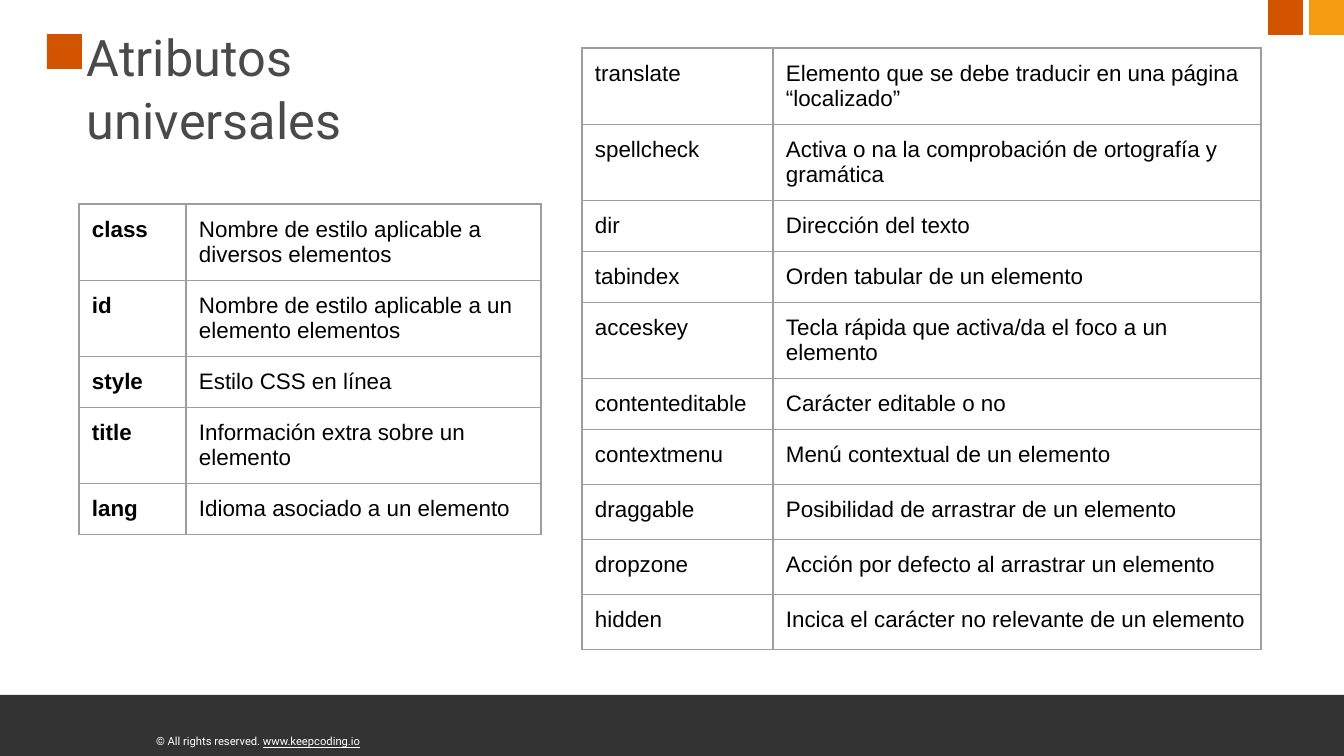
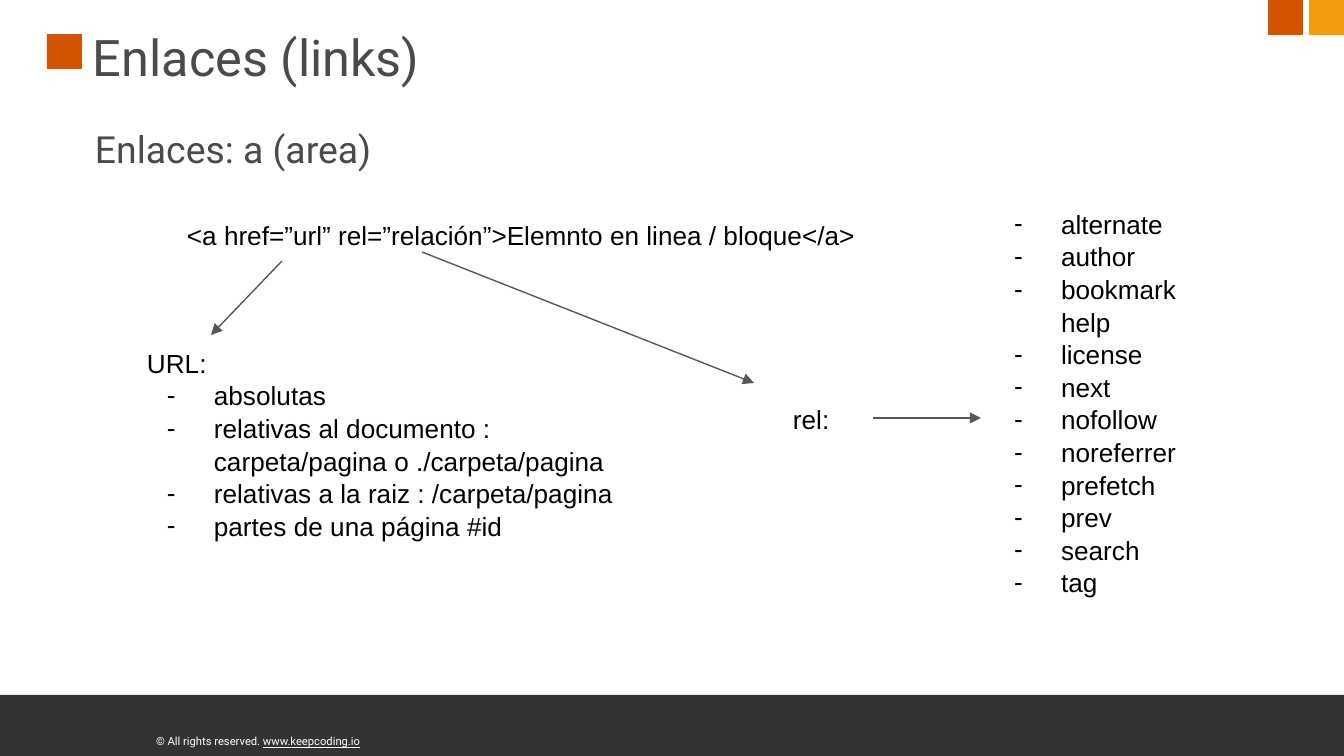
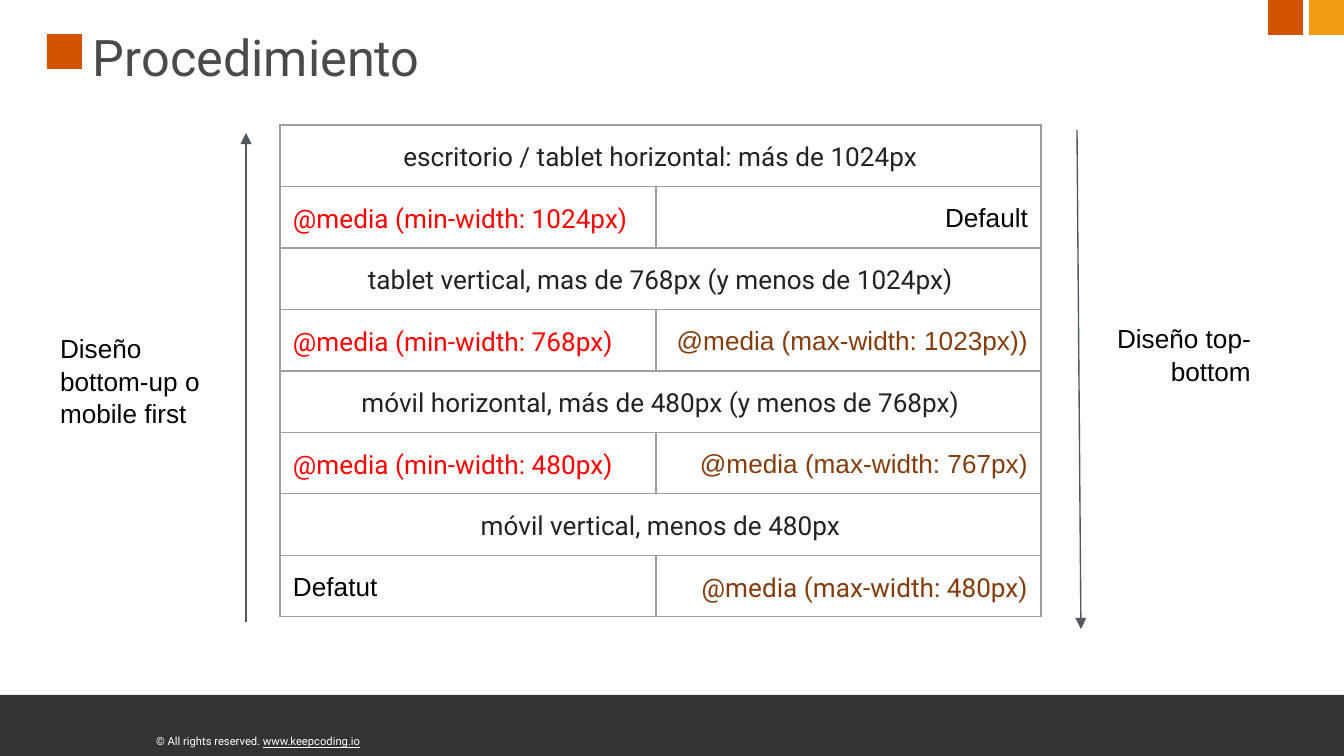
from lxml import etree
from pptx import Presentation
from pptx import util as u
from pptx.dml import color
from pptx.enum import shapes, text
from pptx.oxml import ns

EMU_PER_PX = 914400 / 134.4
ORANGE, AMBER, CHARCOAL = "D35400", "F39C12", "333333"
HEADING, INK, BLACK, WHITE = "4A4A4A", "222222", "000000", "FFFFFF"
RED, BROWN, GRID, ARROW = "FF0000", "843C0C", "9E9E9E", "53585F"
LEFT, CENTER, RIGHT = text.PP_ALIGN.LEFT, text.PP_ALIGN.CENTER, text.PP_ALIGN.RIGHT
TOP, MIDDLE = text.MSO_ANCHOR.TOP, text.MSO_ANCHOR.MIDDLE
LINE_PX = 31

UNIVERSAL = [
    ("class", "Nombre de estilo aplicable a diversos elementos"),
    ("id", "Nombre de estilo aplicable a un elemento elementos"),
    ("style", "Estilo CSS en línea"),
    ("title", "Información extra sobre un elemento"),
    ("lang", "Idioma asociado a un elemento"),
]
MORE_UNIVERSAL = [
    ("translate", "Elemento que se debe traducir en una página “localizado”"),
    ("spellcheck", "Activa o na la comprobación de ortografía y gramática"),
    ("dir", "Dirección del texto"),
    ("tabindex", "Orden tabular de un elemento"),
    ("acceskey", "Tecla rápida que activa/da el foco a un elemento"),
    ("contenteditable", "Carácter editable o no"),
    ("contextmenu", "Menú contextual de un elemento"),
    ("draggable", "Posibilidad de arrastrar de un elemento"),
    ("dropzone", "Acción por defecto al arrastrar un elemento"),
    ("hidden", "Incica el carácter no relevante de un elemento"),
]
URL_KINDS = [
    "URL:",
    "absolutas",
    "relativas al documento : carpeta/pagina o ./carpeta/pagina",
    "relativas a la raiz : /carpeta/pagina",
    "partes de una página #id",
]
REL_VALUES = ["alternate", "author", "bookmark\vhelp", "license", "next", "nofollow",
              "noreferrer", "prefetch", "prev", "search", "tag"]
BREAKPOINTS = [
    ("escritorio / tablet horizontal: más de 1024px",
     ("@media (min-width: 1024px)", "Roboto", RED), ("Default", "Arial", BLACK)),
    ("tablet vertical, mas de 768px (y menos de 1024px)",
     ("@media (min-width: 768px)", "Roboto", RED),
     ("@media (max-width: 1023px))", "Arial", BROWN)),
    ("móvil horizontal, más de 480px (y menos de 768px)",
     ("@media (min-width: 480px)", "Roboto", RED),
     ("@media (max-width: 767px)", "Arial", BROWN)),
    ("móvil vertical, menos de 480px",
     ("Defatut", "Arial", BLACK), ("@media (max-width: 480px)", "Roboto", BROWN)),
]


def px(*lengths):
    return [u.Emu(round(length * EMU_PER_PX)) for length in lengths]


def rgb(value):
    return color.RGBColor.from_string(value)


def set_font(paragraph, size, name, ink, bold=False):
    font = paragraph.font
    font.size, font.name, font.bold = u.Pt(size), name, bold
    font.color.rgb = rgb(ink)


def set_insets(holder, inset, below=0):
    holder.margin_left = holder.margin_top = holder.margin_right = px(inset)[0]
    holder.margin_bottom = px(inset + below)[0]


def set_bullet(paragraph, dash):
    props = paragraph._p.get_or_add_pPr()
    margin, hang = px(67, -47) if dash else (0, 0)
    props.set("marL", str(margin))
    props.set("indent", str(hang))
    if dash:
        etree.SubElement(props, ns.qn("a:buFont"), typeface="Arial")
        etree.SubElement(props, ns.qn("a:buChar"), char="-")
    else:
        etree.SubElement(props, ns.qn("a:buNone"))


def fill_frame(frame, lines, size, name, ink, inset=13, below=0, anchor=TOP,
               align=LEFT, first_dash=None):
    frame.word_wrap = True
    frame.auto_size = text.MSO_AUTO_SIZE.NONE
    frame.vertical_anchor = anchor
    set_insets(frame, inset, below)
    for index, line in enumerate(lines):
        paragraph = frame.paragraphs[0] if index == 0 else frame.add_paragraph()
        paragraph.text = line
        paragraph.alignment = align
        paragraph.line_spacing = 1.04
        paragraph.space_before = u.Pt(0)
        set_bullet(paragraph, first_dash is not None and index >= first_dash)
        set_font(paragraph, size, name, ink)


def add_note(slide, box, lines, **layout):
    note = slide.shapes.add_textbox(*px(*box))
    fill_frame(note.text_frame, lines, 14, "Arial", BLACK, **layout)
    return note


def fill_placeholder(holder, box, line, size):
    holder.left, holder.top, holder.width, holder.height = px(*box)
    fill_frame(holder.text_frame, [line], size, "Roboto", HEADING, inset=8)


def add_block(slide, box, fill):
    block = slide.shapes.add_shape(shapes.MSO_SHAPE.RECTANGLE, *px(*box))
    block.shadow.inherit = False
    block.fill.solid()
    block.fill.fore_color.rgb = rgb(fill)
    block.line.fill.background()


def add_footer(slide):
    footer = slide.shapes.add_textbox(*px(152, 730, 602, 22))
    fill_frame(footer.text_frame, [""], 6, "Roboto", WHITE, inset=4, anchor=MIDDLE)
    paragraph = footer.text_frame.paragraphs[0]
    paragraph.add_run().text = "© All rights reserved. "
    site = paragraph.add_run()
    site.text = "www.keepcoding.io"
    site.font.underline = True


def add_page(deck, layout, title, title_box=(85, 16, 1152, 79)):
    slide = deck.slides.add_slide(deck.slide_layouts[layout])
    add_block(slide, (47, 34, 35, 35), ORANGE)
    add_block(slide, (-4, 695, 1351, 62), CHARCOAL)
    add_block(slide, (1268, 0, 35, 35), ORANGE)
    add_block(slide, (1309, 0, 35, 35), AMBER)
    add_footer(slide)
    fill_placeholder(slide.shapes.title, title_box, title, 27)
    return slide


def add_arrow(slide, start, end):
    arrow = slide.shapes.add_connector(shapes.MSO_CONNECTOR.STRAIGHT, *px(*start, *end))
    arrow.line.color.rgb = rgb(ARROW)
    arrow.line.width = u.Pt(0.75)
    props = arrow._element.spPr
    etree.SubElement(props.find(ns.qn("a:ln")), ns.qn("a:tailEnd"), type="triangle")
    etree.SubElement(props, ns.qn("a:effectLst"))
    return arrow


def add_borders(cell):
    props = cell._tc.get_or_add_tcPr()
    for index, side in enumerate(("lnL", "lnR", "lnT", "lnB")):
        border = etree.Element(ns.qn(f"a:{side}"), w=str(u.Pt(0.75)))
        solid = etree.SubElement(border, ns.qn("a:solidFill"))
        etree.SubElement(solid, ns.qn("a:srgbClr"), val=GRID)
        props.insert(index, border)


def add_grid(slide, corner, widths, heights):
    size = sum(widths), sum(heights)
    grid = slide.shapes.add_table(len(heights), len(widths), *px(*corner, *size)).table
    grid.first_row = grid.horz_banding = False
    for column, width in zip(grid.columns, px(*widths)):
        column.width = width
    for row, height in zip(grid.rows, px(*heights)):
        row.height = height
    for cell in grid.iter_cells():
        cell.fill.background()
        set_insets(cell, 13)
        add_borders(cell)
    return grid


def fill_cell(cell, words, size, name, ink, bold=False, align=LEFT, spacing=1.0):
    paragraph = cell.text_frame.paragraphs[0]
    paragraph.text = words
    paragraph.alignment = align
    paragraph.line_spacing = spacing
    set_font(paragraph, size, name, ink, bold)


def add_attributes(slide, corner, widths, heights, attributes, bold_names=False):
    grid = add_grid(slide, corner, widths, heights)
    for row, (attribute, meaning) in enumerate(attributes):
        fill_cell(grid.cell(row, 0), attribute, 12, "Arial", BLACK, bold_names)
        fill_cell(grid.cell(row, 1), meaning, 12, "Arial", BLACK)


def add_breakpoints(slide):
    grid = add_grid(slide, (280, 125), (376, 385), [56] * (2 * len(BREAKPOINTS)))
    for index, (device, bottom_up, top_down) in enumerate(BREAKPOINTS):
        row = 2 * index
        grid.cell(row, 0).merge(grid.cell(row, 1))
        fill_cell(grid.cell(row, 0), device, 14, "Roboto", INK, align=CENTER, spacing=1.15)
        for column, (rule, name, ink) in enumerate((bottom_up, top_down)):
            fill_cell(grid.cell(row + 1, column), rule, 14, name, ink,
                      align=(LEFT, RIGHT)[column], spacing=1.15)


def build_attributes(deck):
    slide = add_page(deck, 5, "Atributos universales", (79, 16, 356, 148))
    add_attributes(slide, (582, 48), (191, 488), [47] * 6 + [55] * 4, MORE_UNIVERSAL)
    add_attributes(slide, (79, 204), (107, 355), (63, 43, 43, 46, 44), UNIVERSAL, True)


def build_links(deck):
    slide = add_page(deck, 1, "Enlaces (links)")
    fill_placeholder(slide.placeholders[1], (87, 116, 1152, 79), "Enlaces: a (area)", 20)
    add_note(slide, (174, 205, 785, 79),
             ["<a href=”url” rel=”relación”>Elemnto en linea / bloque</a>"])
    add_note(slide, (134, 333, 550, 230), URL_KINDS, first_dash=1)
    rel_values = add_note(slide, (981, 215, 241, 406), REL_VALUES, below=LINE_PX,
                          anchor=MIDDLE, first_dash=0)
    rel = add_note(slide, (780, 384, 93, 68), ["rel:"], anchor=MIDDLE)
    rel_to_values = add_arrow(slide, (873, 418), (981, 418))
    rel_to_values.begin_connect(rel, 3)
    rel_to_values.end_connect(rel_values, 1)
    add_arrow(slide, (282, 261), (211, 335))
    add_arrow(slide, (422, 252), (754, 383))


def build_procedure(deck):
    slide = add_page(deck, 5, "Procedimiento")
    add_breakpoints(slide)
    add_note(slide, (47, 315, 175, 161), ["Diseño bottom-up o mobile first"],
             below=LINE_PX, anchor=MIDDLE)
    add_note(slide, (1089, 289, 175, 161), ["Diseño top-bottom"],
             below=LINE_PX, anchor=MIDDLE, align=RIGHT)
    add_arrow(slide, (246, 622), (246, 133))
    add_arrow(slide, (1077, 130), (1081, 629))


def main():
    deck = Presentation()
    deck.slide_width, deck.slide_height = px(1344, 756)
    build_attributes(deck)
    build_links(deck)
    build_procedure(deck)
    deck.save("out.pptx")


if __name__ == "__main__":
    main()
